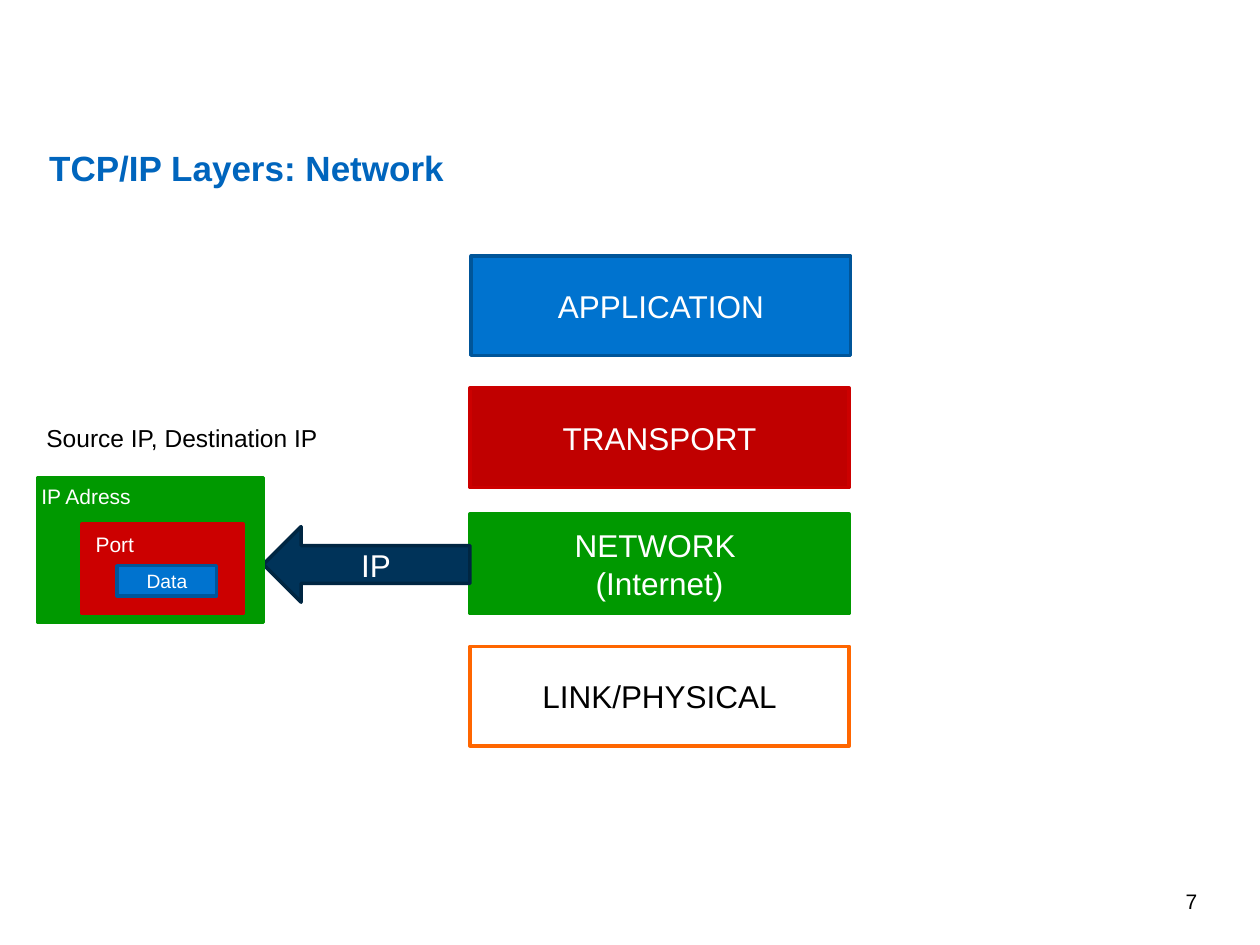
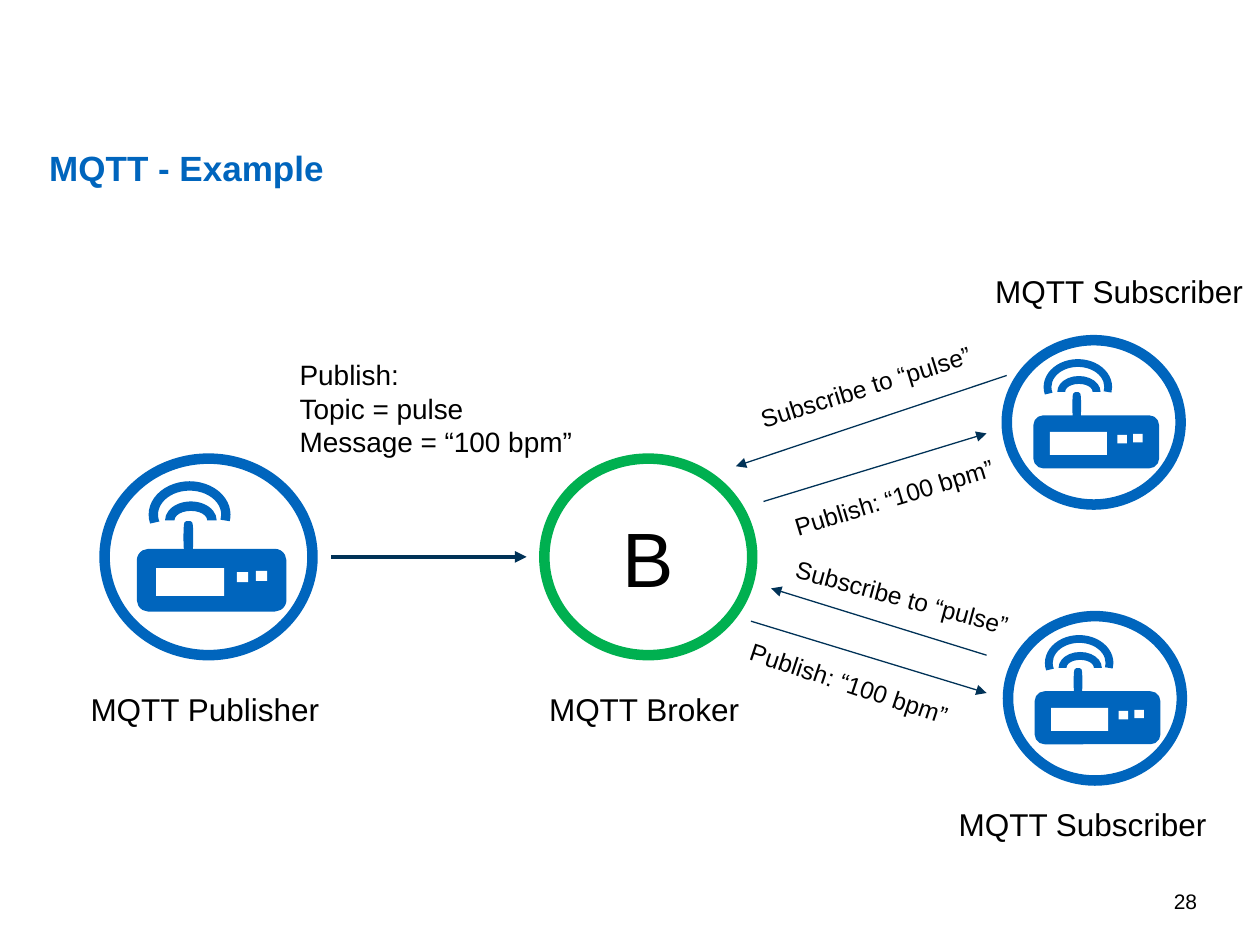
import lxml.etree
import pptx
import pptx.dml.color
import pptx.enum.shapes
import pptx.enum.text
import pptx.oxml.ns
import pptx.util

Inches = pptx.util.Inches
SHAPES = pptx.enum.shapes.MSO_SHAPE
ALIGN = pptx.enum.text.PP_ALIGN
ANCHOR = pptx.enum.text.MSO_ANCHOR

FONT = "Arial"
COLOURS = {
    "white": "FFFFFF",
    "black": "000000",
    "title": "0065BD",
    "blue": "0073CF",
    "blue edge": "005599",
    "dark red": "C00000",
    "red": "CC0000",
    "green": "009900",
    "orange": "FF6600",
    "navy": "003359",
    "navy edge": "002642",
    "broker": "00B050",
    "message": "003257",
}

DEVICE_SIZE = (1.65, 1.56)
# Parts of a full-size device: shape, left, top, width, height, fill, line width
DEVICE_PARTS = [
    (SHAPES.OVAL, 0, 0, *DEVICE_SIZE, None, 6),
    (SHAPES.ROUNDED_RECTANGLE, 0.27, 0.73, 1.16, 0.47, "title", 2),
    (SHAPES.RECTANGLE, 0.41, 0.87, 0.54, 0.22, "white", 0),
    (SHAPES.RECTANGLE, 1.05, 0.9, 0.09, 0.08, "white", 0),
    (SHAPES.RECTANGLE, 1.2, 0.89, 0.09, 0.08, "white", 0),
    (SHAPES.FLOWCHART_TERMINATOR, 0.64, 0.51, 0.05, 0.23, "title", 2),
    (SHAPES.BLOCK_ARC, 0.48, 0.34, 0.41, 0.3, "title", 0),
]
OUTER_WAVE = (SHAPES.BLOCK_ARC, 0.35, 0.18, 0.65, 0.53, "title", 0)
OUTER_WAVE_ADJUSTMENTS = (100.37, 5.59, 0.14)


def colour(name):
    return pptx.dml.color.RGBColor.from_string(COLOURS[name])


def write_text(shape, lines, size, font_colour, align=ALIGN.LEFT, bold=False, spacing=None):
    for index, line in enumerate(lines):
        frame = shape.text_frame
        paragraph = frame.add_paragraph() if index else frame.paragraphs[0]
        paragraph.alignment = align
        paragraph.line_spacing = spacing
        run = paragraph.add_run()
        run.text = line
        run.font.name = FONT
        run.font.size = pptx.util.Pt(size)
        run.font.bold = bold
        run.font.color.rgb = colour(font_colour)


def add_label(slide, box, lines, size, font_colour="black", wrap=True, rotation=0, **style):
    label = slide.shapes.add_textbox(*map(Inches, box))
    label.text_frame.word_wrap = wrap
    label.rotation = rotation
    write_text(label, lines, size, font_colour, **style)
    return label


def add_figure(shapes, kind, box, fill=None, line=None, line_width=2):
    figure = shapes.add_shape(kind, *map(Inches, box))
    figure.shadow.inherit = False
    if fill:
        figure.fill.solid()
        figure.fill.fore_color.rgb = colour(fill)
    else:
        figure.fill.background()
    if line:
        figure.line.color.rgb = colour(line)
        figure.line.width = pptx.util.Pt(line_width)
    else:
        figure.line.fill.background()
    return figure


def add_block(slide, box, lines, fill, line, size=18, font_colour="white",
              kind=SHAPES.RECTANGLE, line_width=2):
    """Add a filled shape with centred text."""
    block = add_figure(slide.shapes, kind, box, fill, line, line_width)
    block.text_frame.vertical_anchor = ANCHOR.MIDDLE
    write_text(block, lines, size, font_colour, ALIGN.CENTER)


def add_arrow(slide, start, end, width=0.75):
    arrow = slide.shapes.add_connector(
        pptx.enum.shapes.MSO_CONNECTOR.STRAIGHT, *map(Inches, start + end))
    arrow.line.color.rgb = colour("message")
    arrow.line.width = pptx.util.Pt(width)
    tag = pptx.oxml.ns.qn
    lxml.etree.SubElement(arrow.line._get_or_add_ln(), tag("a:tailEnd"), type="triangle")
    lxml.etree.SubElement(arrow._element.spPr, tag("a:effectLst"))


def add_device(slide, left, top, width):
    """Add a wireless device in a ring, scaled to the given width."""
    scale = width / DEVICE_SIZE[0]
    group = slide.shapes.add_group_shape()
    for kind, x, y, w, h, fill, line_width in DEVICE_PARTS + [OUTER_WAVE]:
        box = (left + x * scale, top + y * scale, w * scale, h * scale)
        part = add_figure(group.shapes, kind, box, fill, "title" if line_width else None,
                          line_width)
    for index, value in enumerate(OUTER_WAVE_ADJUSTMENTS):
        part.adjustments[index] = value


def add_slide(presentation, title, number):
    slide = presentation.slides.add_slide(presentation.slide_layouts[6])
    heading = add_label(slide, (0.39, 1.08, 8.12, 0.39), [title], 20, "title",
                        bold=True, spacing=1.25)
    frame = heading.text_frame
    frame.margin_left = frame.margin_top = frame.margin_right = frame.margin_bottom = 0
    footer = add_label(slide, (7.27, 6.95, 2.33, 0.4), [number], 12, align=ALIGN.RIGHT)
    footer.text_frame.vertical_anchor = ANCHOR.MIDDLE
    return slide


def build_network_slide(presentation):
    slide = add_slide(presentation, "TCP/IP Layers: Network", "7")
    layers = [
        (3.74, 2.03, ["APPLICATION"], "blue", "blue edge", "white"),
        (3.73, 3.08, ["TRANSPORT"], "dark red", "red", "white"),
        (3.73, 4.08, ["NETWORK ", "(Internet)"], "green", "green", "white"),
        (3.73, 5.13, ["LINK/PHYSICAL"], None, "orange", "black"),
    ]
    for left, top, lines, fill, line, font_colour in layers:
        add_block(slide, (left, top, 3.01, 0.79), lines, fill, line, font_colour=font_colour)
    add_block(slide, (2.09, 4.18, 1.64, 0.6), ["IP"], "navy", "navy edge",
              kind=SHAPES.LEFT_ARROW)

    add_figure(slide.shapes, SHAPES.RECTANGLE, (0.3, 3.79, 1.79, 1.15), "green", "green")
    add_figure(slide.shapes, SHAPES.RECTANGLE, (0.65, 4.16, 1.28, 0.71), "red", "red")
    add_block(slide, (0.93, 4.49, 0.79, 0.24), ["Data"], "blue", "blue edge", size=11)
    add_label(slide, (0.66, 4.17, 0.51, 0.3), ["Port"], 12, "white", wrap=False)
    add_label(slide, (0.23, 3.79, 1.27, 0.3), ["IP Adress"], 12, "white")
    add_label(slide, (0.27, 3.31, 2.37, 0.34), ["Source IP, Destination IP"], 14, wrap=False)


def build_mqtt_slide(presentation):
    slide = add_slide(presentation, "MQTT - Example", "28")
    add_device(slide, 0.83, 3.64, 1.65)
    add_block(slide, (4.32, 3.64, *DEVICE_SIZE), ["B"], None, "broker", size=44,
              font_colour="black", kind=SHAPES.OVAL, line_width=6)
    add_device(slide, 8, 4.89, 1.38)
    add_device(slide, 7.99, 2.7, 1.38)

    for left, top, width, role in [
        (0.62, 5.43, 2.12, "Publisher"),
        (4.26, 5.43, 1.73, "Broker"),
        (7.8, 2.11, 2.38, "Subscriber"),
        (7.51, 6.34, 2.38, "Subscriber"),
    ]:
        add_label(slide, (left, top, width, 0.4), [f"MQTT {role}"], 18)

    add_arrow(slide, (2.63, 4.42), (4.18, 4.42), 2.25)
    add_label(slide, (2.28, 2.79, 2.43, 0.91),
              ["Publish:", "Topic = pulse", "Message = “100 bpm”"], 16)

    subscribe, publish = "Subscribe to “pulse”", "Publish: “100 bpm”"
    for start, end, left, top, width, text, rotation in [
        ((7.99, 2.98), (5.84, 3.7), 5.9, 2.87, 2.15, subscribe, 342.7),
        ((6.06, 3.98), (7.83, 3.44), 6.17, 3.72, 2.24, publish, 343.1),
        ((7.83, 5.2), (6.12, 4.67), 6.19, 4.6, 2.15, subscribe, 15.1),
        ((5.96, 4.93), (7.83, 5.5), 5.81, 5.32, 2.24, publish, 18.4),
    ]:
        add_arrow(slide, start, end)
        add_label(slide, (left, top, width, 0.34), [text], 14, rotation=rotation)


def main():
    presentation = pptx.Presentation()
    presentation.slide_width = Inches(10)
    presentation.slide_height = Inches(7.5)
    build_network_slide(presentation)
    build_mqtt_slide(presentation)
    presentation.save("out.pptx")


if __name__ == "__main__":
    main()
